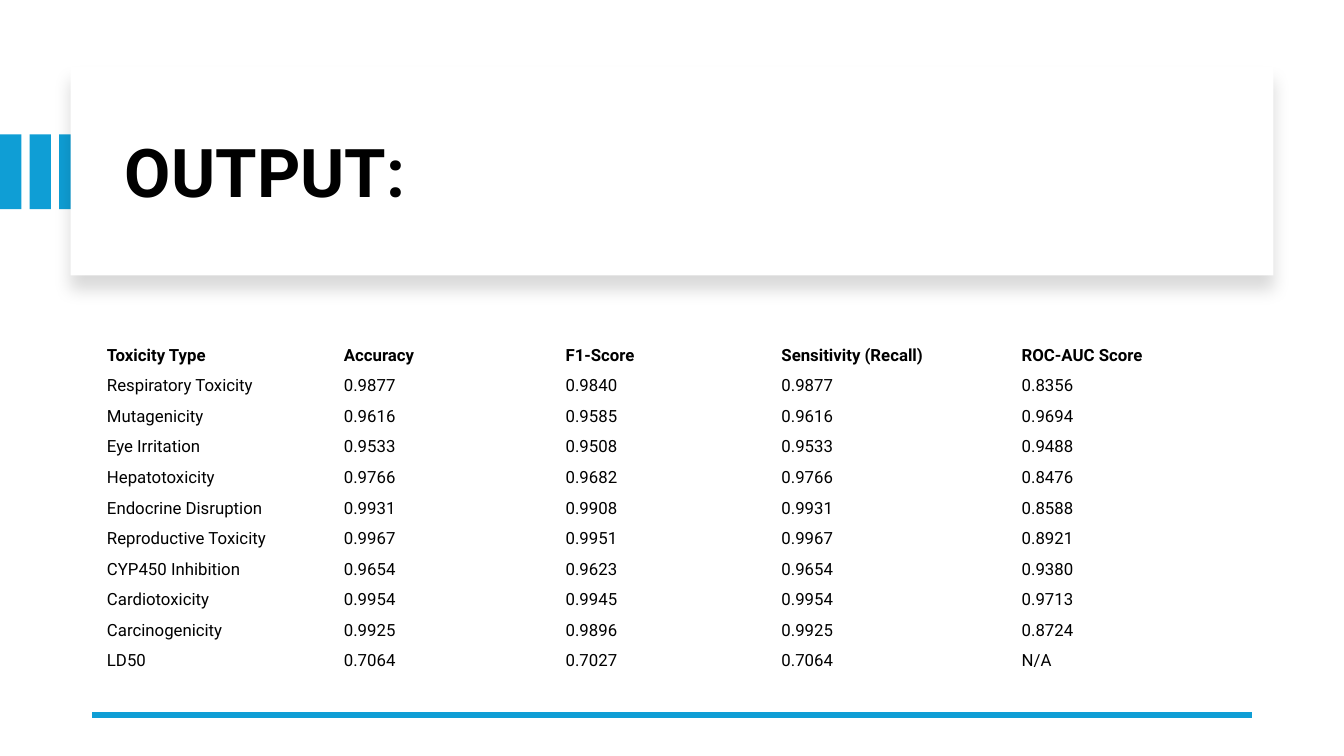
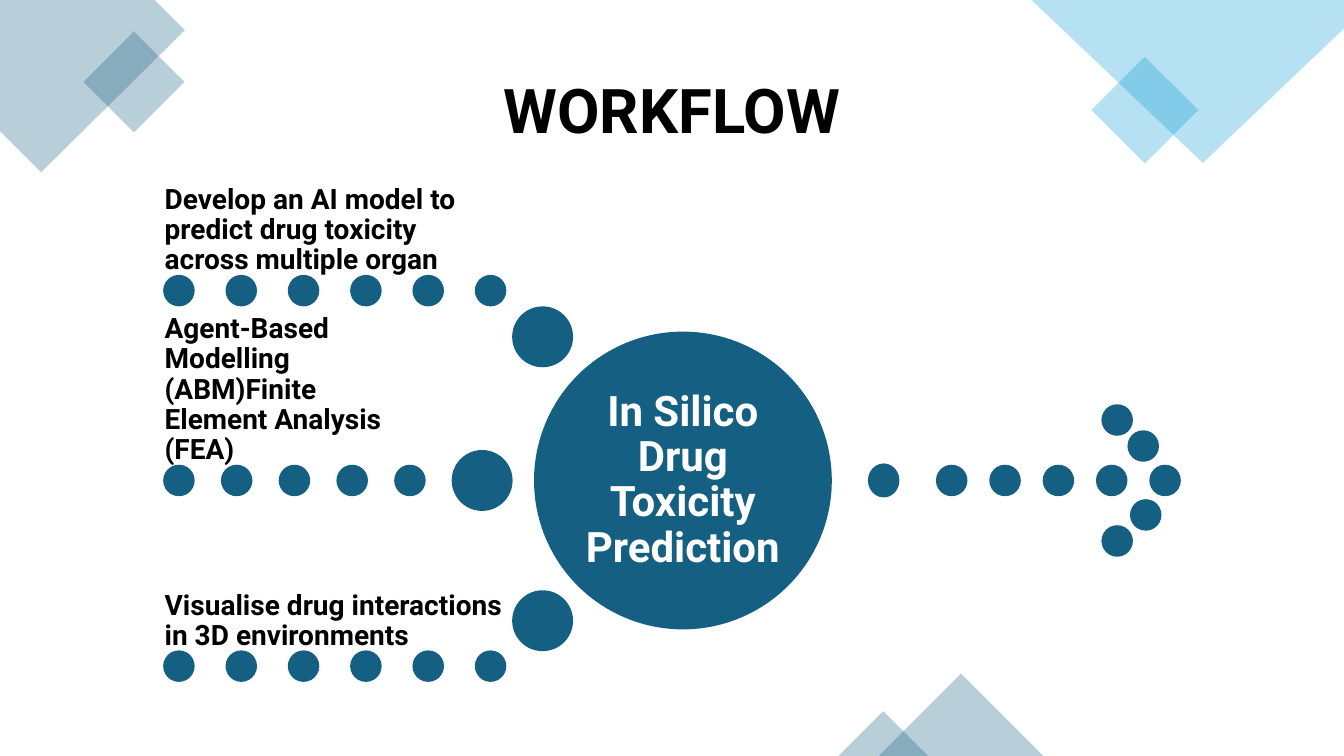
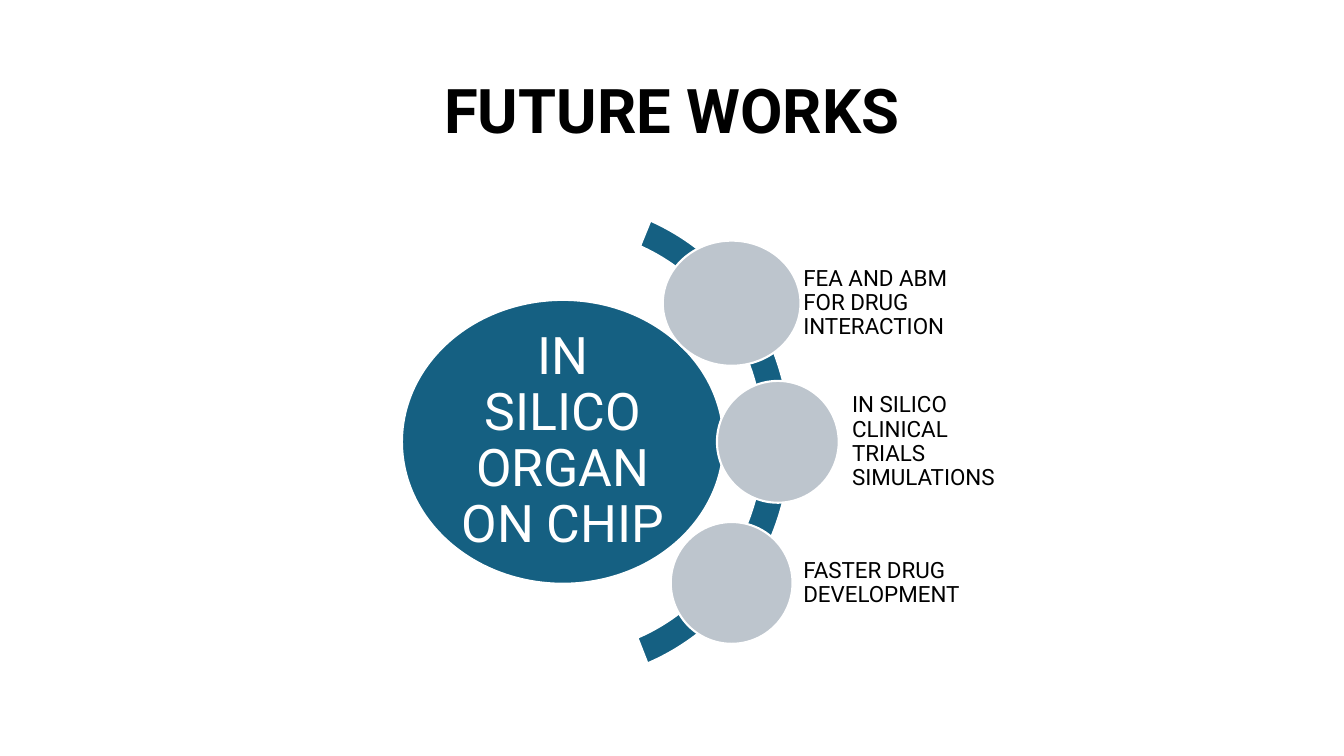
import pptx
import pptx.dml.color
import pptx.enum.shapes
import pptx.enum.text
import pptx.oxml
import pptx.oxml.ns
import pptx.util

SHAPES = pptx.enum.shapes.MSO_SHAPE
ALIGN = pptx.enum.text.PP_ALIGN
ANCHOR = pptx.enum.text.MSO_ANCHOR

WIDTH, HEIGHT = 12192000, 6858000
COLUMNS, ROWS = 160, 90
CELL = WIDTH // COLUMNS
FONT = "Roboto"
COLORS = {
    "text": "000000",
    "white": "FFFFFF",
    "sky": "0F9ED5",
    "petrol": "156082",
    "silver": "BDC5CD",
}
TITLE_BOX = (11, 4.8, 138, 17.4)
DOT = 3.5
BIG_DOT = 7
AXIS = 57.2

SCORES = [
    ("Toxicity Type", "Accuracy", "F1-Score", "Sensitivity (Recall)", "ROC-AUC Score"),
    ("Respiratory Toxicity", "0.9877", "0.9840", "0.9877", "0.8356"),
    ("Mutagenicity", "0.9616", "0.9585", "0.9616", "0.9694"),
    ("Eye Irritation", "0.9533", "0.9508", "0.9533", "0.9488"),
    ("Hepatotoxicity", "0.9766", "0.9682", "0.9766", "0.8476"),
    ("Endocrine Disruption", "0.9931", "0.9908", "0.9931", "0.8588"),
    ("Reproductive Toxicity", "0.9967", "0.9951", "0.9967", "0.8921"),
    ("CYP450 Inhibition", "0.9654", "0.9623", "0.9654", "0.9380"),
    ("Cardiotoxicity", "0.9954", "0.9945", "0.9954", "0.9713"),
    ("Carcinogenicity", "0.9925", "0.9896", "0.9925", "0.8724"),
    ("LD50", "0.7064", "0.7027", "0.7064", "N/A"),
]


def cells(*counts):
    return [round(count * CELL) for count in counts]


def color(name):
    return pptx.dml.color.RGBColor.from_string(COLORS[name])


def paint(shape, fill, line=None, alpha=None):
    shape.shadow.inherit = False
    shape.fill.solid()
    shape.fill.fore_color.rgb = color(fill)
    if alpha:
        tint = shape.fill._xPr.find(".//" + pptx.oxml.ns.qn("a:srgbClr"))
        tint.append(pptx.oxml.parse_xml(
            f'<a:alpha {pptx.oxml.ns.nsdecls("a")} val="{alpha * 1000}"/>'))
    if line:
        shape.line.color.rgb = color(line)
        shape.line.width = pptx.util.Pt(1.5)
    else:
        shape.line.fill.background()
    return shape


def add_preset(slide, preset, box, fill, line=None, alpha=None):
    return paint(slide.shapes.add_shape(preset, *cells(*box)), fill, line, alpha)


def add_ellipse(slide, center, width, height, fill, line):
    x, y = center
    box = (x - width / 2, y - height / 2, width, height)
    return add_preset(slide, SHAPES.OVAL, box, fill, line)


def add_dot(slide, center, size=DOT):
    add_ellipse(slide, center, size, size, "petrol", "petrol")


def add_dot_row(slide, first, last, y, count):
    for index in range(count):
        add_dot(slide, (first + (last - first) * index / (count - 1), y))


def add_polygon(slide, points, fill, alpha):
    start, *others = [cells(*point) for point in points]
    builder = slide.shapes.build_freeform(*start)
    builder.add_line_segments(others, close=True)
    paint(builder.convert_to_shape(), fill, alpha=alpha)


def add_tilted_square(slide, left, top, side, fill):
    square = add_preset(slide, SHAPES.RECTANGLE, (left, top, side, side), fill, alpha=30)
    square.rotation = 315


def style_paragraph(paragraph, size, tone, bold):
    paragraph.font.name = FONT
    paragraph.font.size = pptx.util.Pt(size)
    paragraph.font.bold = bold
    paragraph.font.color.rgb = color(tone)


def write(shape, text, size, tone="text", bold=False, align=ALIGN.LEFT,
          anchor=ANCHOR.MIDDLE, inset=(0, 0)):
    frame = shape.text_frame
    frame.word_wrap = True
    frame.vertical_anchor = anchor
    frame.margin_left = frame.margin_right = cells(inset[0])[0]
    frame.margin_top = frame.margin_bottom = cells(inset[1])[0]
    paragraph = frame.paragraphs[0]
    paragraph.text = text
    paragraph.alignment = align
    paragraph.line_spacing = 0.9
    style_paragraph(paragraph, size, tone, bold)


def add_text(slide, box, text, size, **style):
    write(slide.shapes.add_textbox(*cells(*box)), text, size, **style)


def add_title(slide, text, box=TITLE_BOX, size=44, align=ALIGN.CENTER):
    add_text(slide, box, text, size, bold=True, align=align, inset=(1.2, 0.6))


def add_card(slide, box):
    card = add_preset(slide, SHAPES.RECTANGLE, box, "white")
    effects = card._element.spPr.find(pptx.oxml.ns.qn("a:effectLst"))
    blur, distance = pptx.util.Pt(11), pptx.util.Pt(10)
    effects.append(pptx.oxml.parse_xml(
        f'<a:outerShdw {pptx.oxml.ns.nsdecls("a")} blurRad="{blur}" dist="{distance}" '
        f'dir="5400000" algn="t" rotWithShape="0"><a:srgbClr val="{COLORS["text"]}">'
        '<a:alpha val="15000"/></a:srgbClr></a:outerShdw>'))


def add_rule(slide, left, right, y):
    kind = pptx.enum.shapes.MSO_CONNECTOR.STRAIGHT
    rule = slide.shapes.add_connector(kind, *cells(left, y, right, y))
    rule.line.color.rgb = color("sky")
    rule.line.width = pptx.util.Pt(4.5)
    rule._element.spPr.append(pptx.oxml.parse_xml(
        f'<a:effectLst {pptx.oxml.ns.nsdecls("a")}/>'))


def add_score_table(slide, left, top, widths, row_height, rows):
    box = cells(left, top, sum(widths), row_height * len(rows))
    table = slide.shapes.add_table(len(rows), len(widths), *box).table
    table.first_row = table.horz_banding = False
    for column, width in zip(table.columns, widths):
        column.width = cells(width)[0]
    for row_index, values in enumerate(rows):
        table.rows[row_index].height = cells(row_height)[0]
        for column_index, value in enumerate(values):
            cell = table.cell(row_index, column_index)
            cell.fill.background()
            cell.vertical_anchor = ANCHOR.MIDDLE
            cell.margin_left = cell.margin_right = pptx.util.Inches(0.07)
            cell.margin_top = cell.margin_bottom = pptx.util.Inches(0.03)
            cell.text = value
            style_paragraph(cell.text_frame.paragraphs[0], 12, "text", row_index == 0)


def build_output(slide):
    for index in range(3):
        add_preset(slide, SHAPES.RECTANGLE, (3.52 * index, 16, 2.54, 8.9), "sky")
    add_card(slide, (8.4, 8, 143.2, 24.8))
    add_title(slide, "OUTPUT:", (13.7, 10.7, 133.5, 20.4), 48, ALIGN.LEFT)
    add_rule(slide, 149, 11, 85.1)
    add_score_table(slide, 11.9, 40.5, (28.2, 26.4, 25.7, 28.6, 27.2), 3.64, SCORES)


def add_workflow_corners(slide):
    add_polygon(slide, [(18.4, 0), (0, 0), (0, 15.6), (4.9, 20.5), (22, 3.6)], "petrol", 30)
    add_tilted_square(slide, 11.7, 5.5, 8.5, "petrol")
    add_tilted_square(slide, 131.8, 8.6, 9, "sky")
    add_polygon(slide, [(COLUMNS, 0), (122.8, 0), (143.2, 19.4), (COLUMNS, 3.4)], "sky", 30)
    for left, width in ((104.6, 19.6), (99.8, 10.7)):
        box = (left, ROWS - width / 2, width, width / 2)
        add_preset(slide, SHAPES.ISOSCELES_TRIANGLE, box, "petrol", alpha=30)


def build_workflow(slide):
    add_workflow_corners(slide)
    add_title(slide, "WORKFLOW")

    add_ellipse(slide, (105.2, AXIS), 3.5, 3.8, "petrol", "petrol")
    add_dot_row(slide, 113.3, 138.7, AXIS, 5)
    for center in ((133, 50), (136.1, 53.1), (136.4, 61.3), (133, 64.4)):
        add_dot(slide, center)

    hub = add_ellipse(slide, (81.3, AXIS), 35.2, 35.2, "petrol", "petrol")
    write(hub, "In Silico Drug Toxicity Prediction", 30, "white", True, ALIGN.CENTER,
          inset=(0.5, 0.5))

    inputs = [
        ("Develop an AI model to predict drug toxicity across multiple organ",
         34.6, 58.4, 6, 40.7, (64.6, 40.1)),
        ("Agent-Based Modelling (ABM)Finite Element Analysis (FEA)",
         AXIS, 48.8, 5, 30.7, (57.4, AXIS)),
        ("Visualise drug interactions in 3D environments",
         79.3, 58.4, 6, 40.7, (64.6, 73.9)),
    ]
    for text, y, last, count, width, big_center in inputs:
        add_dot(slide, big_center, BIG_DOT)
        add_dot_row(slide, 21.3, last, y, count)
        add_text(slide, (19.6, y - 10.65, width, 8.9), text, 20, bold=True,
                 anchor=ANCHOR.BOTTOM)


def build_future_works(slide):
    add_title(slide, "FUTURE WORKS")
    core = add_ellipse(slide, (67, 52.6), 38.3, 33.8, "petrol", "white")
    write(core, "IN SILICO ORGAN ON CHIP", 37, "white", align=ALIGN.CENTER,
          inset=(0.6, 0.6))

    arc = add_preset(slide, SHAPES.BLOCK_ARC, (39.4, 24, 54.7, 57.1), "petrol", "white")
    for index, value in enumerate((175.28, 41.19, 0.06)):
        arc.adjustments[index] = value

    goals = [
        ("FEA AND ABM FOR DRUG INTERACTION", (87.1, 36.1), 16.4, 14.9, 95.4),
        ("IN SILICO CLINICAL TRIALS SIMULATIONS", (92.6, 52.6), 14.5, 14.5, 101.2),
        ("FASTER DRUG DEVELOPMENT", (87.1, 69.4), 14.5, 14.5, 95.4),
    ]
    for text, center, width, height, label_left in goals:
        add_ellipse(slide, center, width, height, "silver", "white")
        add_text(slide, (label_left, center[1] - 7, 19.4, 14), text, 16, inset=(0.24, 0.24))


def main():
    presentation = pptx.Presentation()
    presentation.slide_width, presentation.slide_height = WIDTH, HEIGHT
    for build in (build_output, build_workflow, build_future_works):
        build(presentation.slides.add_slide(presentation.slide_layouts[6]))
    presentation.save("out.pptx")


if __name__ == "__main__":
    main()
